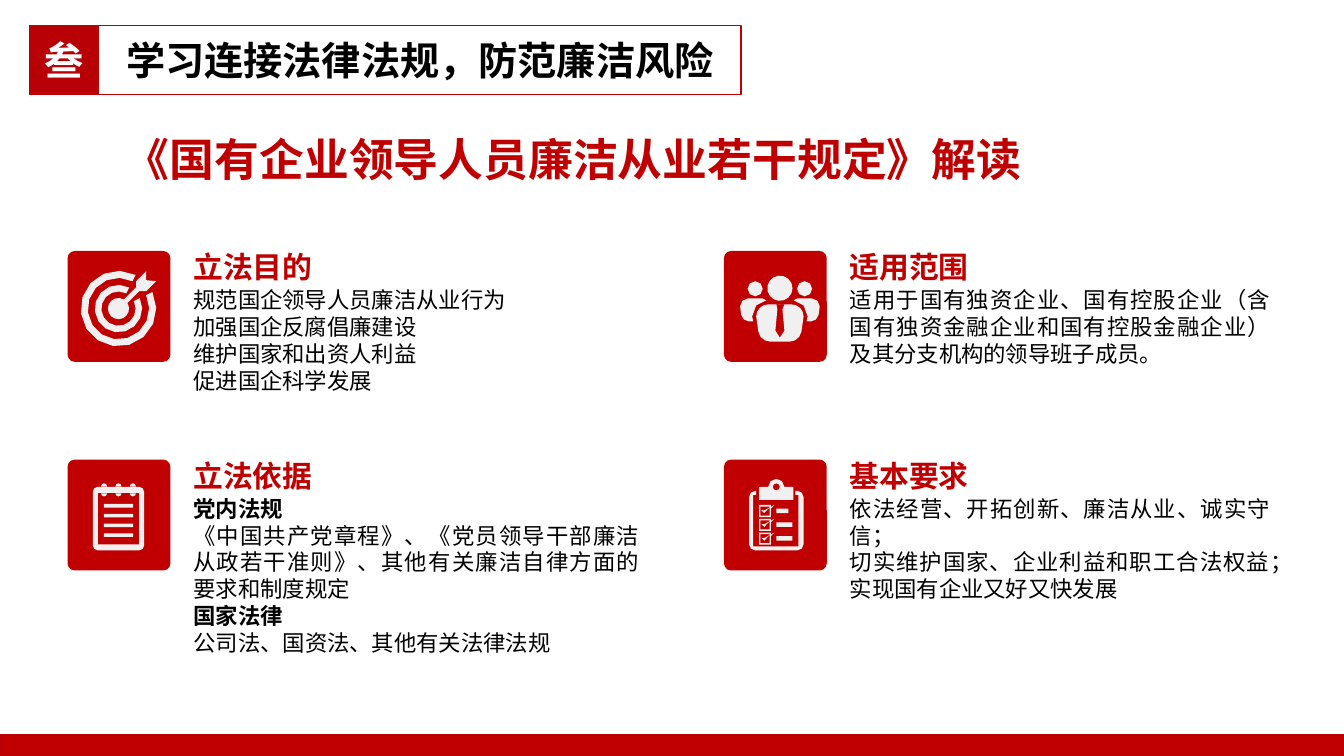
from math import cos, radians, sin
from pptx import Presentation
from pptx import util as u
from pptx.dml.color import RGBColor
from pptx.enum import shapes, text

HUES = {"red": "C00000", "deep": "B80106", "ink": "000000",
        "white": "FFFFFF", "icon": "F0F0F0"}
FONT = "Arial"
UNIT = 100

PANELS = [
    (0, 0, "target", "立法目的", 4.37,
     ["规范国企领导人员廉洁从业行为", "加强国企反腐倡廉建设",
      "维护国家和出资人利益", "促进国企科学发展"]),
    (1, 0, "people", "适用范围", 4.37,
     ["适用于国有独资企业、国有控股企业（含国有独资金融企业和国有控股金融企业）及其分支机构的领导班子成员。"]),
    (0, 1, "pad", "立法依据", 4.62,
     ["党内法规",
      "《中国共产党章程》、《党员领导干部廉洁从政若干准则》、其他有关廉洁自律方面的要求和制度规定",
      "国家法律", "公司法、国资法、其他有关法律法规"]),
    (1, 1, "board", "基本要求", 4.37,
     ["依法经营、开拓创新、廉洁从业、诚实守信；",
      "切实维护国家、企业利益和职工合法权益；", "实现国有企业又好又快发展"]),
]
STRONG = {"党内法规", "国家法律"}


def hue(name):
    return RGBColor.from_string(HUES[name])


def arc(x, y, r, start=0, end=360):
    steps = max(2, round(abs(end - start) / (24 if r > 10 else 45)))
    turns = [radians(start + (end - start) * i / steps) for i in range(steps + 1)]
    return [(x + r * cos(t), y + r * sin(t)) for t in turns]


def rect(x, y, w, h):
    return [(x, y), (x + w, y), (x + w, y + h), (x, y + h)]


def curved(x, y, w, h, r):
    return (arc(x + r, y + r, r, 180, 270) + arc(x + w - r, y + r, r, 270, 360)
            + arc(x + w - r, y + h - r, r, 0, 90) + arc(x + r, y + h - r, r, 90, 180))


def target():
    x, y = 37.5, 37.2
    arrow = [(43, 28), (55, 16), (55, 10), (65, 0), (65, 9),
             (75, 10), (65, 20), (58, 20), (46, 32)]
    rings = [arc(x, y, big, -26, 297) + arc(x, y, small, 297, -26)
             for big, small in ((37.5, 30.5), (23.5, 17))]
    return rings + [arc(x, y, 10.5, -28, 298) + arrow]


def people():
    body = (arc(28, 41, 12, 180, 270) + arc(51, 41, 12, 270, 360)
            + arc(49, 54, 12, 10, 90) + arc(30, 54, 12, 90, 170))
    tie = [(44, 29), (42, 34), (44, 55), (39.5, 62), (35, 55), (37, 34), (36, 29)]
    side = (arc(8, 31, 8, 180, 270) + [(22, 23), (26, 25), (16, 30), (12, 41), (13, 46)]
            + arc(9, 38, 8, 90, 170))
    other = [(79 - x, y) for x, y in side]
    heads = [arc(39.5, 13, 12.5), arc(15, 13.5, 7.5), arc(64, 13.5, 7.5)]
    return heads + [body, tie, side, other]


def pad():
    parts = [curved(0, 4, 51, 63, 5), rect(5, 10, 41, 51)]
    for i in range(3):
        x = 11.2 + 14.3 * i
        parts += [arc(x, 3.5, 3, 180, 360), arc(x, 10.5, 3, 0, 180)]
    return parts + [rect(11, 21 + 9.7 * i, 29, 3.6) for i in range(4)]


def board():
    frame = ([(7, 16), (7, 12)] + arc(6, 18, 6, 270, 180) + arc(6, 65, 6, 180, 90)
             + arc(48, 65, 6, 90, 0) + arc(48, 18, 6, 0, -90)
             + [(46, 12), (46, 16), (49, 16), (49, 67), (4, 67), (4, 16)])
    clip = arc(27, 8, 8, 180, 360) + [(44, 8), (44, 21), (10, 21), (10, 8)]
    parts = [frame, clip, arc(27, 8, 3.5)]
    for i, wide in enumerate((12, 16, 16)):
        y = 26 + 13.7 * i
        tick = [(12, 5), (15, 5.5), (20.3, 2.5), (15, 8)]
        tip = [(21.5, 2), (25, 0), (21.5, 3.5)]
        parts += [rect(10, y, 11.5, 12), rect(11.3, y + 1.5, 9, 9)]
        parts += [[(x, y + dy) for x, dy in part] for part in (tick, tip)]
        parts.append(rect(27, y + 3.5, wide, 4.5))
    return parts


ICONS = {"target": (target, 0.13, 0.2), "people": (people, 0.16, 0.24),
         "pad": (pad, 0.25, 0.23), "board": (board, 0.25, 0.19)}


def paint(shape, fill=None, line=None):
    shape.shadow.inherit = False
    if fill:
        shape.fill.solid()
        shape.fill.fore_color.rgb = hue(fill)
    else:
        shape.fill.background()
    if line:
        shape.line.color.rgb = hue(line)
        shape.line.width = u.Pt(1)
    else:
        shape.line.fill.background()


def block(slide, box, fill=None, line=None, kind=shapes.MSO_SHAPE.RECTANGLE):
    shape = slide.shapes.add_shape(kind, *map(u.Inches, box))
    paint(shape, fill, line)
    return shape


def write(shape, lines, size, color, bold=False, align=None, wrap=True):
    frame = shape.text_frame
    frame.word_wrap = wrap
    frame.text = "\n".join(lines)
    for para in frame.paragraphs:
        para.alignment = align
        for run in para.runs:
            run.font.name = FONT
            run.font.size = u.Pt(size)
            run.font.bold = bold or run.text in STRONG
            run.font.color.rgb = hue(color)


def label(slide, box, lines, size, color, **style):
    shape = slide.shapes.add_textbox(*map(u.Inches, box))
    write(shape, lines, size, color, **style)


def icon(slide, left, top, parts):
    scaled = [[(x * UNIT, y * UNIT) for x, y in part] for part in parts]
    form = slide.shapes.build_freeform(*scaled[0][0], scale=u.Inches(0.01) / UNIT)
    for i, part in enumerate(scaled):
        if i:
            form.move_to(*part[0])
        form.add_line_segments(part[1:], close=True)
    paint(form.convert_to_shape(u.Inches(left), u.Inches(top)), "icon")


def header(slide, left, top, width, side):
    badge = block(slide, (left, top, side, side), "deep", "red")
    title = block(slide, (left + side, top, width - side, side), line="red")
    for shape, line, color in ((badge, "叁", "white"),
                               (title, "学习连接法律法规，防范廉洁风险", "ink")):
        write(shape, [line], 28, color, bold=True, align=text.PP_ALIGN.CENTER)
        shape.text_frame.vertical_anchor = text.MSO_ANCHOR.MIDDLE


def panel(slide, left, top, name, title, width, lines):
    tile = block(slide, (left, top, 1.02, 1.1), "red",
                 kind=shapes.MSO_SHAPE.ROUNDED_RECTANGLE)
    tile.adjustments[0] = 0.07
    draw, dx, dy = ICONS[name]
    icon(slide, left + dx, top + dy, draw())
    label(slide, (left + 1.15, top - 0.07, 1.51, 0.46), [title], 21.3, "red", bold=True)
    label(slide, (left + 1.15, top + 0.3, width, 1.18), lines, 16, "ink",
          align=text.PP_ALIGN.JUSTIFY)


def main():
    deck = Presentation()
    deck.slide_width, deck.slide_height = u.Inches(13.33), u.Inches(7.5)
    slide = deck.slides.add_slide(deck.slide_layouts[6])
    block(slide, (0, 7.29, 13.33, 0.21), "red", "deep")
    header(slide, 0.29, 0.25, 7.06, 0.69)
    label(slide, (1.14, 1.26, 9.18, 0.64), ["《国有企业领导人员廉洁从业若干规定》解读"],
          32, "red", bold=True, wrap=False)
    for col, row, *parts in PANELS:
        panel(slide, 0.67 + 6.51 * col, 2.49 + 2.07 * row, *parts)
    deck.save("out.pptx")


if __name__ == "__main__":
    main()
